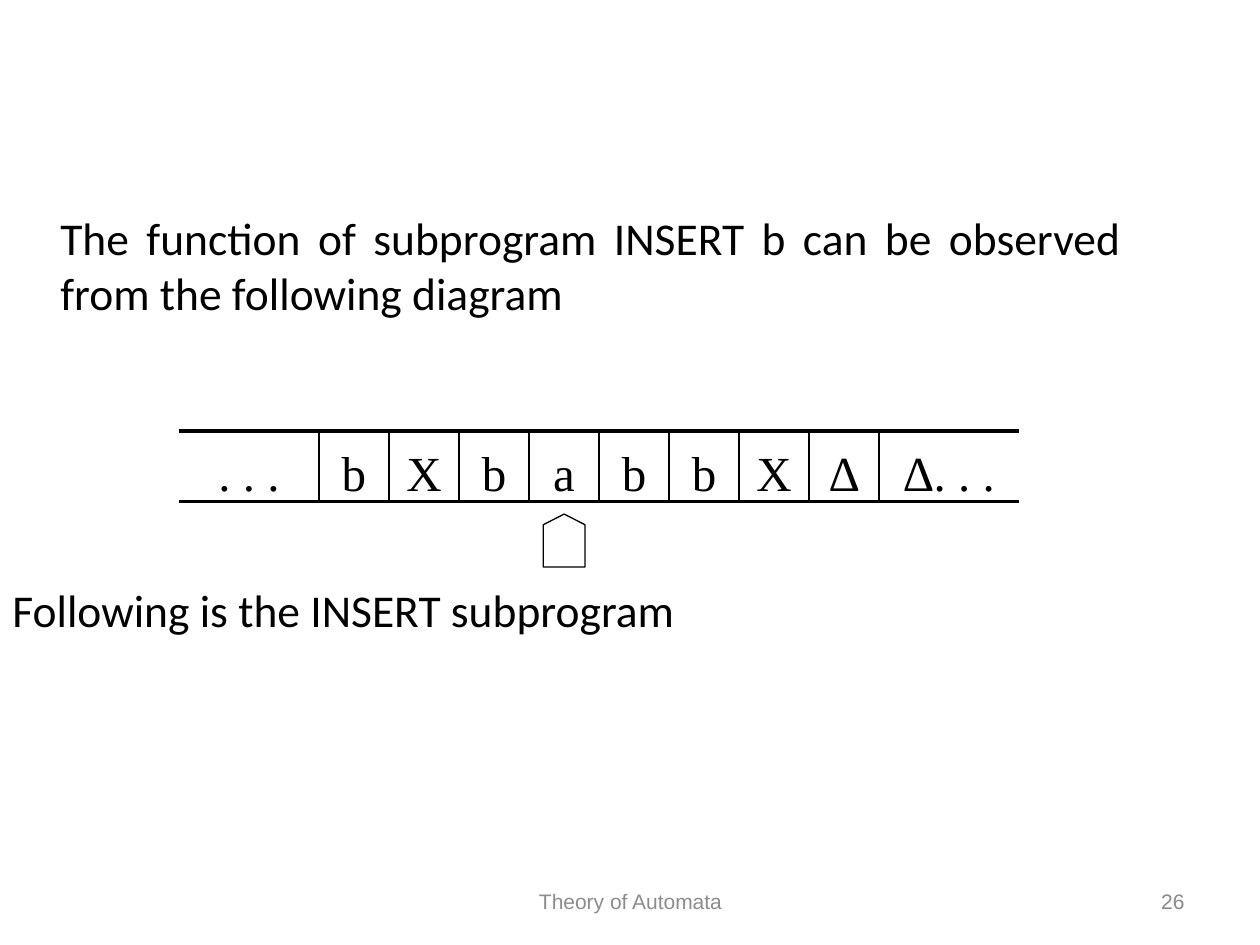
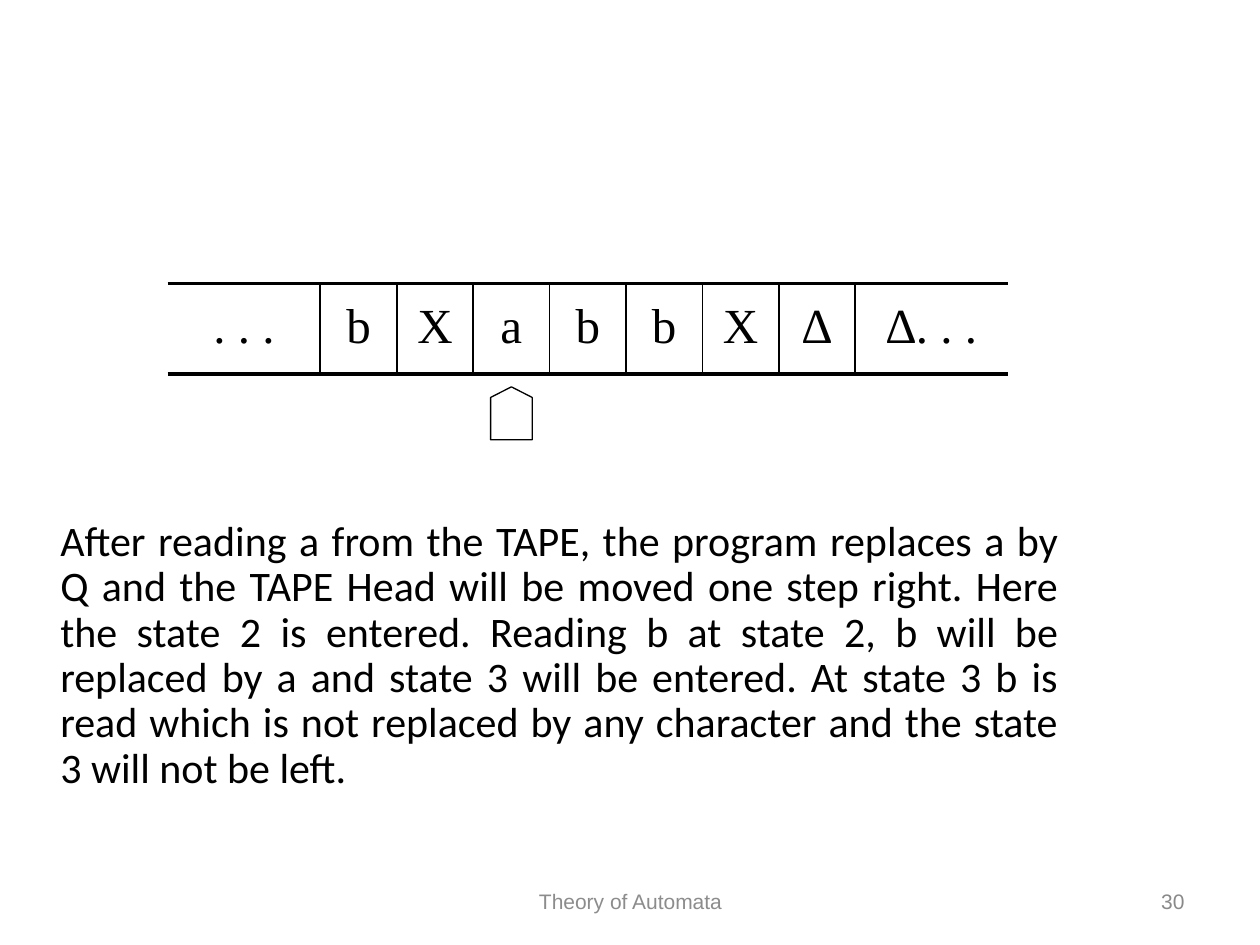
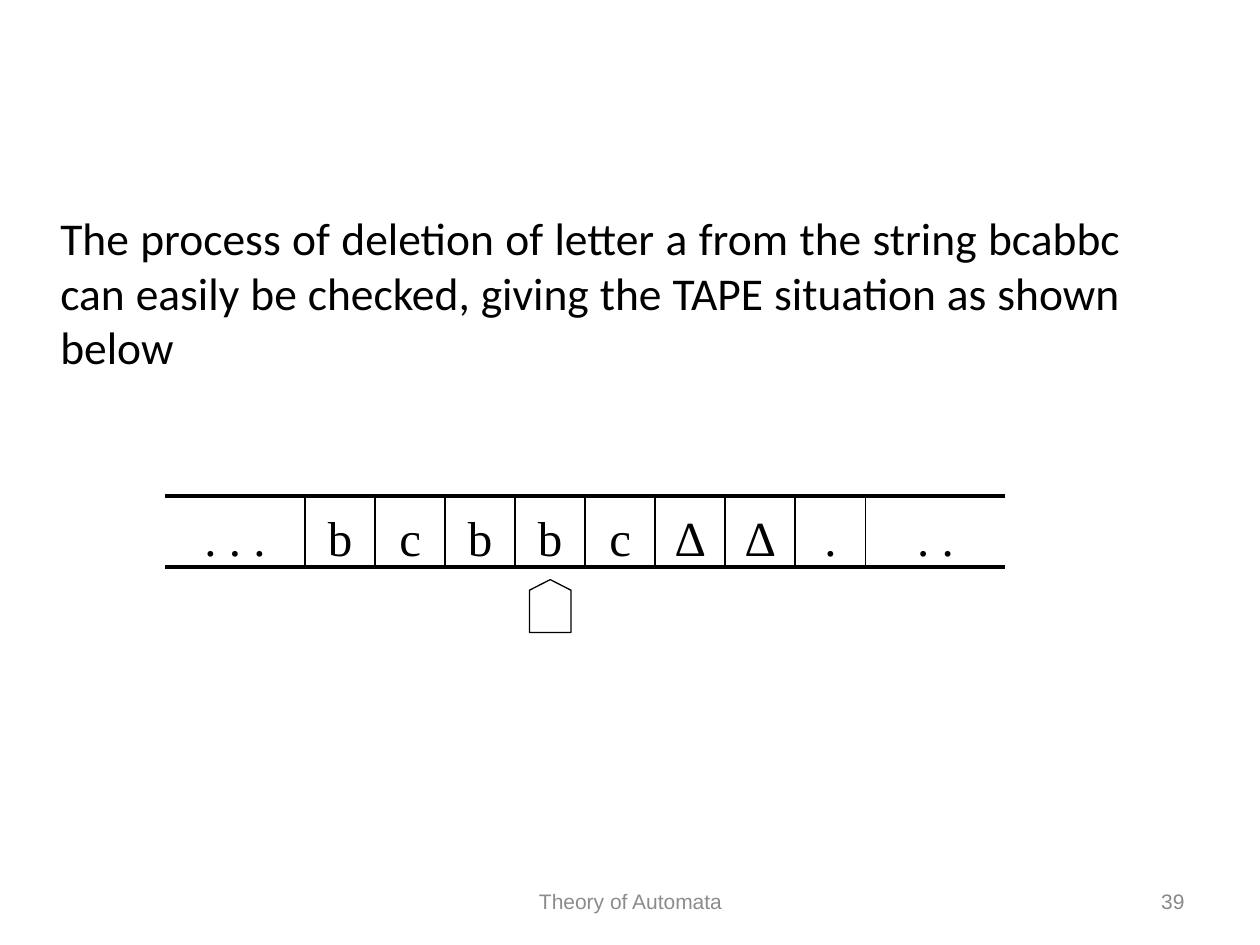
from dataclasses import dataclass
from itertools import accumulate

from lxml.etree import SubElement
from pptx import Presentation
from pptx.dml.color import RGBColor
from pptx.enum.shapes import MSO_CONNECTOR, MSO_SHAPE
from pptx.enum.text import MSO_ANCHOR, PP_ALIGN
from pptx.oxml.ns import qn
from pptx.util import Inches, Pt


@dataclass(frozen=True)
class Style:
    """Look of one kind of text."""
    font: str
    size: int
    color: str
    align: PP_ALIGN
    anchor: MSO_ANCHOR = MSO_ANCHOR.TOP
    line_spacing: float = 1.0
    margin_top: float = 0.05


@dataclass(frozen=True)
class Theme:
    """Colours, type styles and line widths that the slides share."""
    ink: str = "000000"
    body: Style = Style("Calibri", 26, "000000", PP_ALIGN.JUSTIFY)
    dense: Style = Style("Calibri", 24, "000000", PP_ALIGN.JUSTIFY, line_spacing=0.9)
    symbol: Style = Style("Times New Roman", 28, "000000", PP_ALIGN.CENTER, margin_top=0.09)
    footer: Style = Style("Arial", 12, "8C8C8C", PP_ALIGN.CENTER, MSO_ANCHOR.MIDDLE)
    number: Style = Style("Arial", 12, "898989", PP_ALIGN.RIGHT, MSO_ANCHOR.MIDDLE)
    rail: float = 2.25
    divider: float = 1
    head: float = 0.75


@dataclass(frozen=True)
class Box:
    """Area in columns and rows of the slide grid."""
    left: float
    top: float
    width: float
    height: float

    @property
    def bottom(self):
        """Return the row where the box ends."""
        return self.top + self.height

    @property
    def right(self):
        """Return the column where the box ends."""
        return self.left + self.width


THEME = Theme()
COLUMNS, ROWS = 10, 7.5
SLIDE_WIDTH, SLIDE_HEIGHT = Inches(10), Inches(7.5)
FOOTER_BOX = Box(3.42, 6.95, 3.17, 0.4)
NUMBER_BOX = Box(7.17, 6.95, 2.33, 0.4)
INTRO_BOX = Box(0.38, 1.62, 8.62, 1.5)
TAPE_WIDTH = 6.67
HEAD_WIDTH, HEAD_HEIGHT, HEAD_GAP = 0.33, 0.42, 0.1


def to_x(columns):
    """Turn grid columns into a slide length."""
    return round(SLIDE_WIDTH * columns / COLUMNS)


def to_y(rows):
    """Turn grid rows into a slide length."""
    return round(SLIDE_HEIGHT * rows / ROWS)


def place(box):
    """Return left, top, width and height of a grid box."""
    return to_x(box.left), to_y(box.top), to_x(box.width), to_y(box.height)


def add_text(shapes, box, text, style):
    """Add a wrapped text box in the given style."""
    frame = shapes.add_textbox(*place(box)).text_frame
    frame.word_wrap = True
    frame.vertical_anchor = style.anchor
    frame.margin_top = Inches(style.margin_top)
    frame.text = text
    paragraph = frame.paragraphs[0]
    paragraph.alignment = style.align
    paragraph.line_spacing = style.line_spacing
    font = paragraph.runs[0].font
    font.name, font.size = style.font, Pt(style.size)
    font.color.rgb = RGBColor.from_string(style.color)


def add_line(shapes, start, end, width):
    """Add a straight line between two grid points."""
    line = shapes.add_connector(MSO_CONNECTOR.STRAIGHT, to_x(start[0]), to_y(start[1]),
                                to_x(end[0]), to_y(end[1]))
    line.line.color.rgb = RGBColor.from_string(THEME.ink)
    line.line.width = Pt(width)
    SubElement(line._element.spPr, qn("a:effectLst"))


def add_head(shapes, center, top):
    """Add the tape head pointing up at a cell."""
    box = Box(center - HEAD_WIDTH / 2, top, HEAD_WIDTH, HEAD_HEIGHT)
    head = shapes.add_shape(MSO_SHAPE.FLOWCHART_OFFPAGE_CONNECTOR, *place(box))
    head.rotation = 180
    head.shadow.inherit = False
    head.fill.background()
    head.line.color.rgb = RGBColor.from_string(THEME.ink)
    head.line.width = Pt(THEME.head)


def add_tape(slide, box, symbols, head_cell):
    """Draw a tape whose two end cells are twice as wide as the others."""
    shapes = slide.shapes.add_group_shape().shapes
    spans = [2] + [1] * (len(symbols) - 2) + [2]
    unit = box.width / sum(spans)
    edges = [box.left + unit * count for count in accumulate(spans, initial=0)]
    for symbol, left, right in zip(symbols, edges, edges[1:]):
        add_text(shapes, Box(left, box.top, right - left, box.height), symbol, THEME.symbol)
    for row in (box.top, box.bottom):
        add_line(shapes, (box.left, row), (box.right, row), THEME.rail)
    for edge in edges[1:-1]:
        add_line(shapes, (edge, box.top), (edge, box.bottom), THEME.divider)
    add_head(shapes, (edges[head_cell] + edges[head_cell + 1]) / 2, box.bottom + HEAD_GAP)


def add_tape_slide(presentation, number, texts, tape):
    """Add a slide with its texts, a tape and the footer."""
    slide = presentation.slides.add_slide(presentation.slide_layouts[6])
    add_text(slide.shapes, NUMBER_BOX, str(number), THEME.number)
    for box, text, style in texts:
        add_text(slide.shapes, box, text, style)
    add_tape(slide, *tape)
    add_text(slide.shapes, FOOTER_BOX, "Theory of Automata", THEME.footer)


def main():
    """Build the presentation and save it."""
    presentation = Presentation()
    presentation.slide_width, presentation.slide_height = SLIDE_WIDTH, SLIDE_HEIGHT
    add_tape_slide(
        presentation, 26,
        [(INTRO_BOX, "The function of subprogram INSERT b can be observed from the "
                     "following diagram", THEME.body),
         (Box(0, 4.57, 9, 0.6), "Following is the INSERT subprogram", THEME.body)],
        (Box(1.42, 3.42, TAPE_WIDTH, 0.56),
         [". . .", "b", "X", "b", "a", "b", "b", "X", "∆", "∆. . ."], 4))
    add_tape_slide(
        presentation, 30,
        [(Box(0.38, 4.08, 8.12, 2.4),
          "After reading a from the TAPE, the program replaces a by Q and the TAPE Head "
          "will be moved one step right. Here the state 2 is entered. Reading b at state 2, "
          "b will be replaced by a and state 3 will be entered. At state 3 b is read which "
          "is not replaced by any character and the state 3 will not be left.", THEME.dense)],
        (Box(1.33, 2.25, TAPE_WIDTH, 0.72),
         [". . .", "b", "X", "a", "b", "b", "X", "∆", "∆. . ."], 3))
    add_tape_slide(
        presentation, 39,
        [(INTRO_BOX, "The process of deletion of letter a from the string bcabbc can easily "
                     "be checked, giving the TAPE situation as shown below", THEME.body)],
        (Box(1.31, 3.94, TAPE_WIDTH, 0.56),
         [". . .", "b", "c", "b", "b", "c", "∆", "∆", ".", ". ."], 4))
    presentation.save("out.pptx")


if __name__ == "__main__":
    main()
